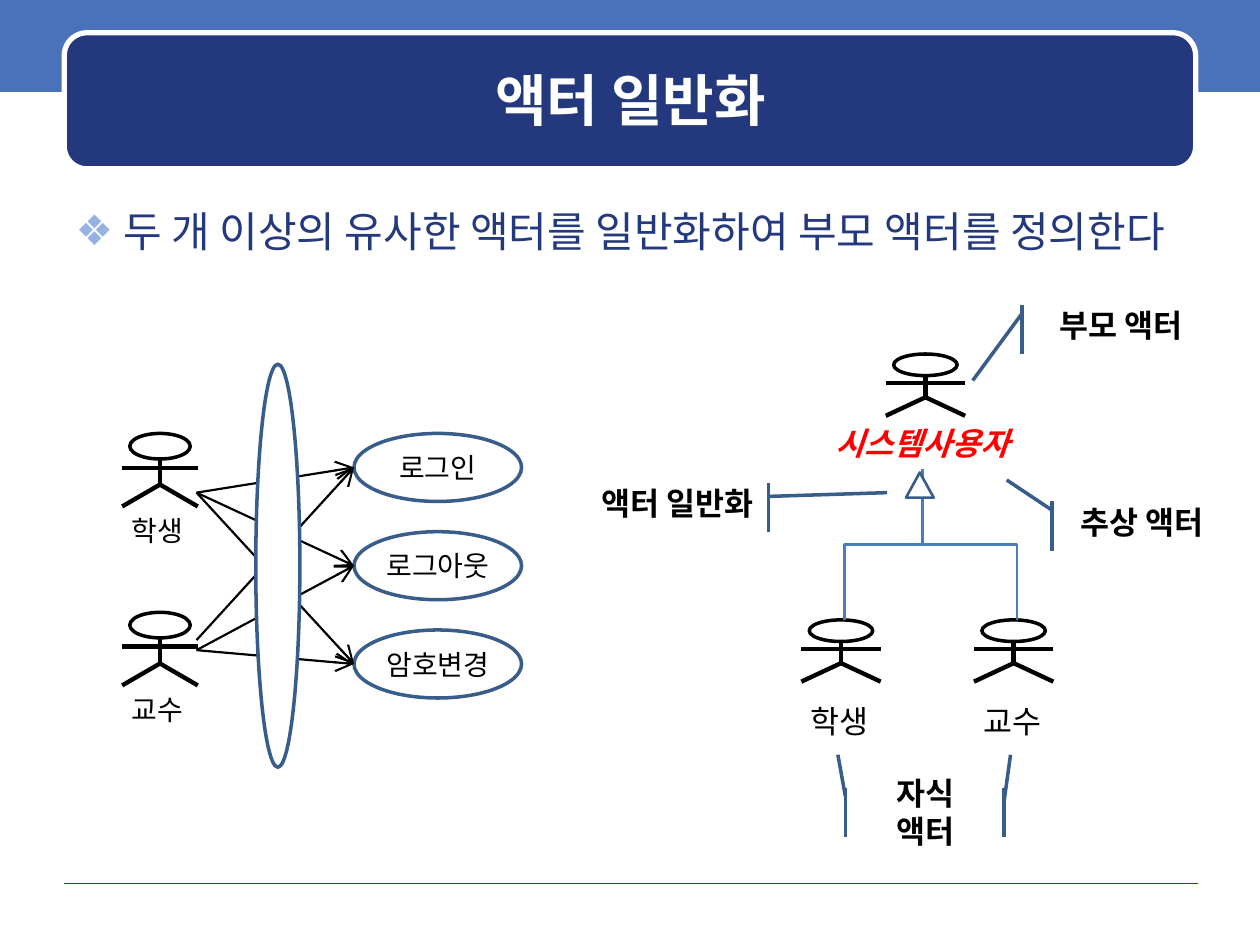
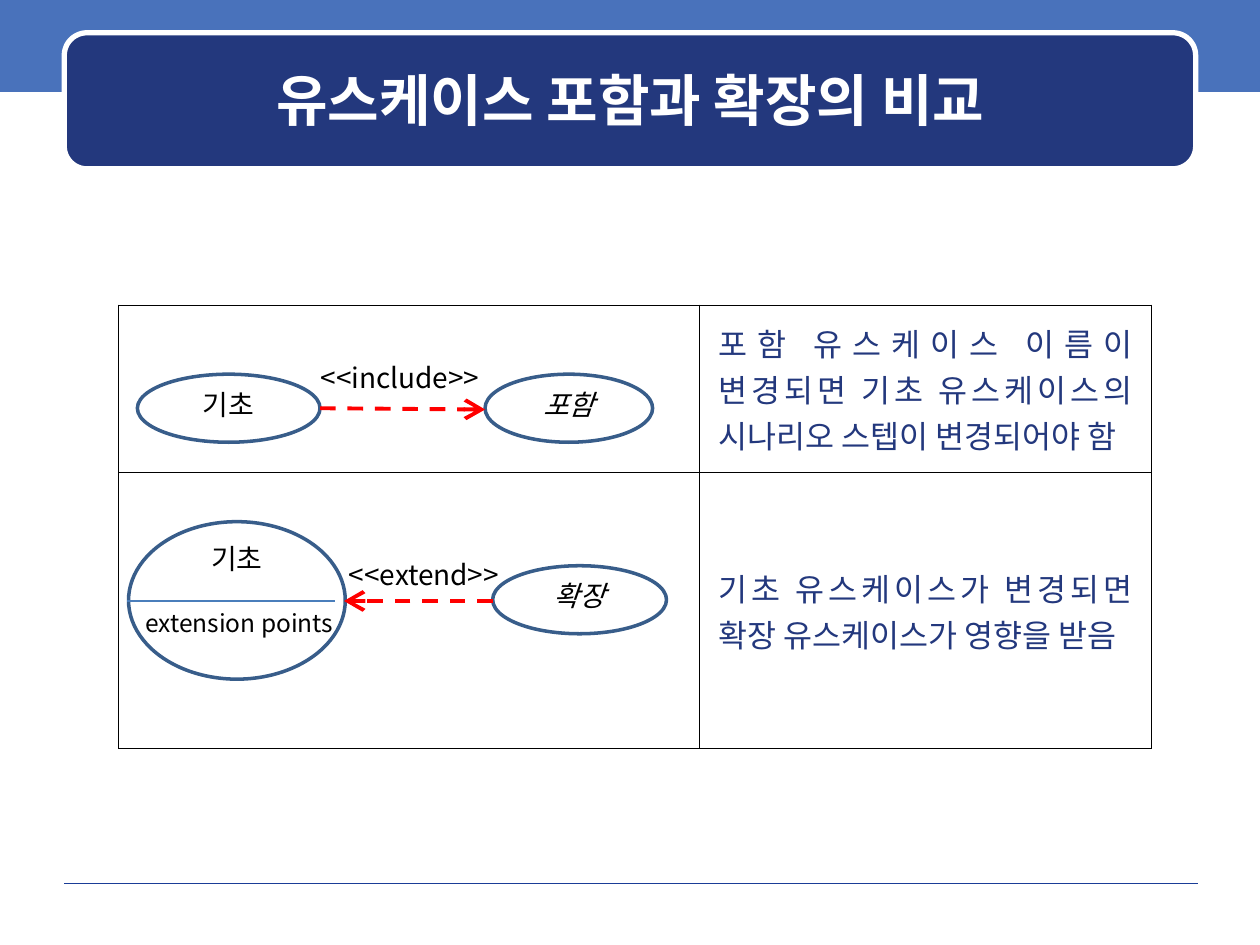
"""Build two slides on actor generalization and on include versus extend."""
from lxml import etree
from pptx import Presentation
from pptx.dml.color import RGBColor
from pptx.enum.dml import MSO_LINE
from pptx.enum.shapes import MSO_CONNECTOR as LINK, MSO_SHAPE as SHAPE
from pptx.enum.text import MSO_ANCHOR as ANCHOR, MSO_AUTO_SIZE, PP_ALIGN as ALIGN
from pptx.oxml.ns import qn
from pptx.util import Inches, Pt

FONT = "Noto Sans CJK KR"
WHITE = RGBColor(0xFF, 0xFF, 0xFF)
BLACK = RGBColor(0x00, 0x00, 0x00)
RED = RGBColor(0xFF, 0x00, 0x00)
NAVY = RGBColor(0x23, 0x38, 0x7D)
BAND_BLUE = RGBColor(0x49, 0x72, 0xBB)
RULE_BLUE = RGBColor(0x1A, 0x3D, 0x97)
BULLET_BLUE = RGBColor(0x96, 0xB1, 0xE6)
OUTLINE = RGBColor(0x38, 0x5D, 0x8A)
LINK_BLUE = RGBColor(0x4A, 0x7E, 0xBB)

LAYOUT_TITLE_BODY, LAYOUT_TITLE_ONLY = 1, 5
USE_CASE_HEIGHT = 0.54
CALLOUT_HEIGHT = 0.39


def inches(*lengths):
    """Convert several lengths to Inches."""
    return [Inches(length) for length in lengths]


def add_xml(parent, tag, **attributes):
    """Append one XML element and return it."""
    return etree.SubElement(parent, qn(tag), attributes)


def write(frame, text, size, color=BLACK, bold=False, italic=False,
          align=ALIGN.CENTER, spacing=None):
    """Fill a text frame and format its runs."""
    frame.text = text
    for paragraph in frame.paragraphs:
        paragraph.alignment = align
        if spacing:
            paragraph.line_spacing = spacing
        for run in paragraph.runs:
            font = run.font
            font.name, font.size, font.bold, font.italic = FONT, Pt(size), bold, italic
            font.color.rgb = color
            props = run._r.get_or_add_rPr()
            props.set("kern", "0")
            add_xml(props, "a:ea", typeface=FONT)


def add_label(slide, box, text, size, wrap=True, anchor=ANCHOR.TOP, **style):
    """Add a free-standing label."""
    frame = slide.shapes.add_textbox(*inches(*box)).text_frame
    frame.word_wrap = wrap
    frame.vertical_anchor = anchor
    write(frame, text, size, **style)


def paint(shape, fill=None, line=None, width=2):
    """Set fill and outline and drop the shadow."""
    shape.shadow.inherit = False
    if fill is None:
        shape.fill.background()
    else:
        shape.fill.solid()
        shape.fill.fore_color.rgb = fill
    if line is None:
        shape.line.fill.background()
    else:
        shape.line.color.rgb = line
        shape.line.width = Pt(width)


def add_figure(shapes, kind, box, **look):
    """Add a painted preset shape."""
    figure = shapes.add_shape(kind, *inches(*box))
    paint(figure, **look)
    return figure


def add_line(shapes, start, end, color=BLACK, width=2.5, arrow=False, dash=None,
             kind=LINK.STRAIGHT):
    """Add a connector, optionally dashed or with an arrowhead."""
    link = shapes.add_connector(kind, *inches(*start, *end))
    link.line.color.rgb = color
    link.line.width = Pt(width)
    if dash:
        link.line.dash_style = dash
    if arrow:
        add_xml(link.line._get_or_add_ln(), "a:tailEnd", type="arrow", w="lg", len="lg")
    add_xml(link.element.spPr, "a:effectLst")
    return link


def add_use_case(slide, box, text, anchor=ANCHOR.MIDDLE, **style):
    """Add a use case oval with its name."""
    frame = add_figure(slide.shapes, SHAPE.OVAL, box, line=OUTLINE).text_frame
    frame.margin_left = frame.margin_right = 0
    frame.word_wrap = True
    frame.vertical_anchor = anchor
    write(frame, text, 16, **style)


def add_actor(slide, left, top, width, height):
    """Add a stick figure as one group."""
    limbs = slide.shapes.add_group_shape().shapes
    middle, right, bottom = left + width / 2, left + width, top + height
    neck, arms, hip = (top + height * part for part in (0.35, 0.47, 0.7))
    add_figure(limbs, SHAPE.OVAL,
               (left + 0.1 * width, top, 0.8 * width, 0.35 * height), line=BLACK)
    for start, end in (((middle, neck), (middle, hip)),
                       ((left, arms), (right, arms)),
                       ((middle, hip), (left, bottom)),
                       ((middle, hip), (right, bottom))):
        add_line(limbs, start, end)


def add_callout_mark(slide, bar_x, bar_top, target, joint_y):
    """Add a callout's vertical bar and its leader to the target."""
    pen = slide.shapes.build_freeform(*inches(bar_x, bar_top))
    pen.add_line_segments([inches(bar_x, bar_top + CALLOUT_HEIGHT)], close=False)
    pen.move_to(*inches(*target))
    pen.add_line_segments([inches(bar_x, joint_y)], close=False)
    paint(pen.convert_to_shape(), line=OUTLINE)


def add_generalization(slide, parent, child):
    """Add an elbow that leaves the parent downwards and ends on the child."""
    (parent_x, parent_y), (child_x, child_y) = parent, child
    drop, spread = child_y - parent_y, abs(child_x - parent_x)
    left = (parent_x + child_x - drop) / 2
    top = (parent_y + child_y - spread) / 2
    ends, turn = [left, left + drop], 90
    if child_x > parent_x:
        ends, turn = ends[::-1], 270
    elbow = add_line(slide.shapes, (ends[0], top), (ends[1], top + spread),
                     LINK_BLUE, 1.5, kind=LINK.ELBOW)
    elbow.element.spPr.xfrm.set("rot", str(turn * 60000))


def decorate_master(prs, slide):
    """Draw the band, footer rule and title banner, and move them to the master."""
    shapes = slide.shapes
    decorations = (
        add_figure(shapes, SHAPE.RECTANGLE, (0, -0.03, 10, 0.76), fill=BAND_BLUE),
        add_line(shapes, (0.51, 7.01), (9.51, 7.01), RULE_BLUE, 0.25),
        add_figure(shapes, SHAPE.ROUNDED_RECTANGLE, (0.51, 0.26, 8.98, 1.08),
                   fill=NAVY, line=WHITE, width=3),
    )
    for position, decoration in enumerate(decorations, start=2):
        prs.slide_master.shapes.element.insert(position, decoration.element)


def place(placeholder, box, anchor):
    """Move a placeholder and return its text frame."""
    (placeholder.left, placeholder.top,
     placeholder.width, placeholder.height) = inches(*box)
    frame = placeholder.text_frame
    frame.auto_size = MSO_AUTO_SIZE.NONE
    frame.vertical_anchor = anchor
    return frame


def add_titled_slide(prs, layout, title):
    """Add a slide with the shared title style."""
    slide = prs.slides.add_slide(prs.slide_layouts[layout])
    frame = place(slide.shapes.title, (0.6, 0.35, 8.81, 0.88), ANCHOR.MIDDLE)
    write(frame, title, 32, WHITE, bold=True)
    return slide


def fill_bullet(slide, text):
    """Write the body placeholder as one diamond bullet."""
    frame = place(slide.placeholders[1], (0.5, 1.58, 9, 5.33), ANCHOR.TOP)
    write(frame, text, 24, NAVY, align=ALIGN.LEFT)
    paragraph = frame.paragraphs[0]
    paragraph.space_before = Pt(0)
    props = paragraph._p.get_or_add_pPr()
    props.set("marL", str(Inches(0.38)))
    props.set("indent", str(-Inches(0.38)))
    add_xml(add_xml(props, "a:buClr"), "a:srgbClr", val=str(BULLET_BLUE))
    add_xml(props, "a:buChar", char="❖")


def add_comparison_table(slide, remarks):
    """Add the grid with a remark at the right of each row."""
    table = slide.shapes.add_table(2, 2, *inches(0.94, 2.42, 8.2, 3.52)).table
    table.first_row = table.horz_banding = False
    for column, width in zip(table.columns, inches(4.61, 3.59)):
        column.width = width
    for row, height in zip(table.rows, inches(1.33, 2.19)):
        row.height = height
    for cell in table.iter_cells():
        props = cell._tc.get_or_add_tcPr()
        for side in ("a:lnL", "a:lnR", "a:lnT", "a:lnB"):
            border = add_xml(props, side, w=str(Pt(0.45)))
            add_xml(add_xml(border, "a:solidFill"), "a:srgbClr", val=str(BLACK))
        cell.fill.background()
    for row, remark in enumerate(remarks):
        cell = table.cell(row, 1)
        cell.margin_left = cell.margin_right = Inches(0.15)
        cell.vertical_anchor = ANCHOR.MIDDLE
        write(cell.text_frame, remark, 18, NAVY, align=ALIGN.JUSTIFY)


def draw_separate_actors(slide):
    """Draw both actors linked to every use case behind the merging oval."""
    for top, name in ((3.44, "학생"), (4.86, "교수")):
        add_actor(slide, 0.97, top, 0.6, 0.58)
        add_label(slide, (0.78, top + 0.59, 0.94, 0.37), name, 16)
    for row, name in enumerate(("로그인", "로그아웃", "암호변경")):
        add_use_case(slide, (2.81, 3.44 + 0.78 * row, 1.33, USE_CASE_HEIGHT), name)
    targets = (3.71, 4.49, 5.27)
    for starts in ((3.91, 3.91, 3.91), (5.08, 5.16, 5.16)):
        for start, target in zip(starts, targets):
            add_line(slide.shapes, (1.56, start), (2.81, target), width=1.25, arrow=True)
    add_figure(slide.shapes, SHAPE.OVAL, (2.03, 2.89, 0.35, 3.2),
               fill=WHITE, line=OUTLINE)


def draw_generalized_actors(slide):
    """Draw the parent actor, its children and the callouts."""
    for left, name in ((6.36, "학생"), (7.73, "교수")):
        add_actor(slide, left, 4.92, 0.63, 0.49)
        add_label(slide, (left - 0.19, 5.52, 0.99, 0.4), name, 18)
    add_actor(slide, 7.03, 2.81, 0.63, 0.49)
    add_label(slide, (6.44, 3.32, 1.76, 0.4), "시스템사용자", 18,
              color=RED, bold=True, italic=True)
    for child_x in (6.7, 8.07):
        add_generalization(slide, (7.32, 3.72), (child_x, 4.92))
    add_figure(slide.shapes, SHAPE.ISOSCELES_TRIANGLE, (7.19, 3.75, 0.22, 0.2),
               fill=WHITE, line=OUTLINE, width=1.5)
    for left, top, width, text, spacing in (
            (8.36, 3.98, 1.41, "추상 액터", 0.7), (4.61, 3.83, 1.54, "액터 일반화", 0.7),
            (8.13, 2.42, 1.54, "부모 액터", 0.7), (6.72, 6.25, 1.25, "자식\n액터", None)):
        add_label(slide, (left, top, width, CALLOUT_HEIGHT), text, 18,
                  anchor=ANCHOR.MIDDLE, bold=True, spacing=spacing)
    for mark in ((8.35, 3.98, (7.99, 3.81), 4.05), (6.1, 3.83, (7.04, 3.91), 3.94),
                 (8.11, 2.42, (7.72, 3.02), 2.49), (6.71, 6.25, (6.65, 5.99), 6.32),
                 (7.97, 6.25, (8.02, 5.99), 6.35)):
        add_callout_mark(slide, *mark)


def draw_include(slide):
    """Draw the include relation."""
    add_use_case(slide, (1.09, 2.97, 1.45, USE_CASE_HEIGHT), "기초", spacing=0.7)
    add_use_case(slide, (3.85, 2.97, 1.33, USE_CASE_HEIGHT), "포함",
                 italic=True, spacing=0.7)
    add_line(slide.shapes, (2.54, 3.24), (3.85, 3.25), RED, 2.25, True, MSO_LINE.DASH)
    add_label(slide, (2.37, 2.81, 1.61, 0.37), "<<include>>", 16)


def draw_extend(slide):
    """Draw the extend relation with its extension points."""
    add_use_case(slide, (1.02, 4.14, 1.72, 1.25), "기초", ANCHOR.TOP, spacing=0.7)
    add_use_case(slide, (3.91, 4.49, 1.38, USE_CASE_HEIGHT), "확장",
                 italic=True, spacing=0.7)
    add_line(slide.shapes, (3.91, 4.77), (2.73, 4.77), RED, 2.25, True, MSO_LINE.DASH)
    add_label(slide, (2.65, 4.38, 1.43, 0.37), "<<extend>>", 16, wrap=False)
    add_label(slide, (1.04, 4.84, 1.72, 0.27), "extension points", 14,
              wrap=False, spacing=0.7)
    add_line(slide.shapes, (1.01, 4.77), (2.66, 4.77), LINK_BLUE, 1.5)


def main():
    """Build and save the presentation."""
    prs = Presentation()
    prs.slide_width, prs.slide_height = inches(10, 7.5)

    generalization = add_titled_slide(prs, LAYOUT_TITLE_BODY, "액터 일반화")
    decorate_master(prs, generalization)
    fill_bullet(generalization, "두 개 이상의 유사한 액터를 일반화하여 부모 액터를 정의한다")
    draw_separate_actors(generalization)
    draw_generalized_actors(generalization)

    comparison = add_titled_slide(prs, LAYOUT_TITLE_ONLY, "유스케이스 포함과 확장의 비교")
    add_comparison_table(comparison, (
        "포함 유스케이스 이름이 변경되면 기초 유스케이스의 시나리오 스텝이 변경되어야 함",
        "기초 유스케이스가 변경되면 확장 유스케이스가 영향을 받음"))
    draw_include(comparison)
    draw_extend(comparison)

    prs.save("out.pptx")


if __name__ == "__main__":
    main()
